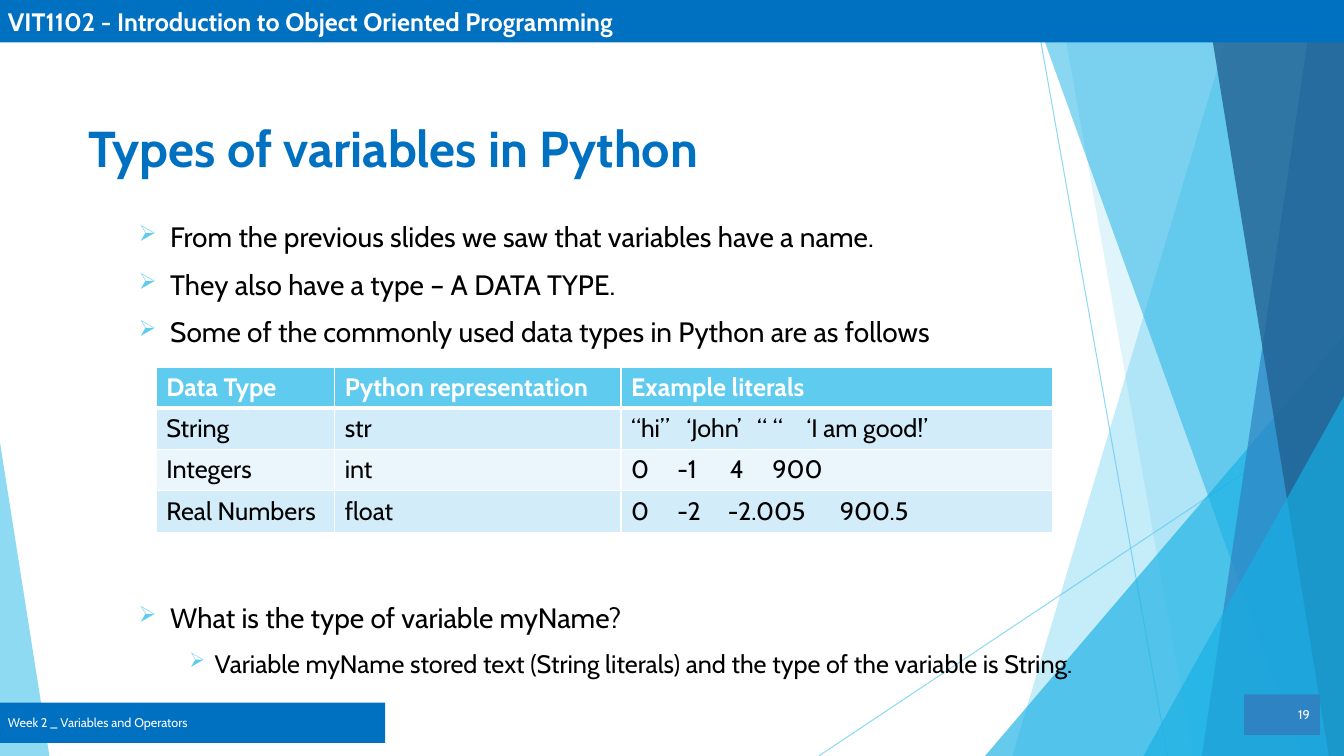
from lxml import etree
from pptx import Presentation
from pptx import util as u
from pptx.dml import color
from pptx.enum import shapes, text
from pptx.oxml import ns

PX = 9144
FONT = "Cabin"
WHITE, BLACK, BLUE, SKY = "FFFFFF", "000000", "0070C0", "5FCBEF"
CYAN, STEEL, NAVY = "17B0E4", "2E83C3", "226292"
LEFT, RIGHT = text.PP_ALIGN.LEFT, text.PP_ALIGN.RIGHT
TOP, MID = text.MSO_ANCHOR.TOP, text.MSO_ANCHOR.MIDDLE


def px(n):
    """Turn px into EMU."""
    return u.Emu(n * PX)


def add(node, tag, **attrs):
    """Append a drawing element and return it."""
    return etree.SubElement(node, ns.qn("a:" + tag), {k: str(v) for k, v in attrs.items()})


def tint(fill, hue, alpha=100):
    """Make a fill solid in a hex colour with a given opacity."""
    fill.solid()
    fill.fore_color.rgb = color.RGBColor.from_string(hue)
    if alpha < 100:
        add(fill.fore_color._xFill[0], "alpha", val=alpha * 1000)


def put(para, words, size=18, hue=BLACK, bold=False, align=LEFT, before=0, bullet=None, tabs=()):
    """Write formatted words into a paragraph."""
    props = para._p.get_or_add_pPr()
    if bullet:
        margin, hang = bullet
        props.set("marL", str(px(margin)))
        props.set("indent", str(px(-hang)))
        add(add(props, "buClr"), "srgbClr", val=SKY)
        add(props, "buSzPct", val=80000)
        add(props, "buChar", char="➢")
    if tabs:
        stops = add(props, "tabLst")
        for stop in tabs:
            add(stops, "tab", pos=px(stop), algn="l")
    para.alignment = align
    para.space_before = u.Pt(before)
    run = para.add_run()
    run.text = words
    run.font.name, run.font.size, run.font.bold = FONT, u.Pt(size), bold
    tint(run.font.fill, hue)


class Page:
    """Holds the current slide and draws each kind of element on it."""

    def __init__(self, deck):
        """Add a title-only slide to the deck."""
        self.slide = deck.slides.add_slide(deck.slide_layouts[5])
        self.shapes = self.slide.shapes

    def paint(self, shape, hue, alpha):
        """Give a shape a plain fill without line or shadow."""
        shape.shadow.inherit = False
        shape.line.fill.background()
        tint(shape.fill, hue, alpha)
        return shape

    def title(self, box, words, **form):
        """Place and write the title."""
        shape = self.shapes.title
        shape.left, shape.top, shape.width, shape.height = map(px, box)
        frame = shape.text_frame
        frame.word_wrap, frame.vertical_anchor = True, TOP
        put(frame.paragraphs[0], words, **form)

    def line(self, start, end):
        """Draw a thin see-through line."""
        line = self.shapes.add_connector(shapes.MSO_CONNECTOR.STRAIGHT, *map(px, start + end))
        line.line.width = u.Pt(0.75)
        tint(line.line.fill, SKY, 70)
        add(line._element.spPr, "effectLst")

    def shard(self, points, hue, alpha):
        """Draw a closed outline."""
        pen = self.shapes.build_freeform(*points[0], scale=PX)
        pen.add_line_segments(points[1:], close=True)
        self.paint(pen.convert_to_shape(), hue, alpha)

    def wedge(self, box, tip, hue, alpha):
        """Draw a triangle with its tip at a share of its width."""
        shape = self.shapes.add_shape(shapes.MSO_SHAPE.ISOSCELES_TRIANGLE, *map(px, box))
        shape.adjustments[0] = tip
        self.paint(shape, hue, alpha)

    def bar(self, box, hue, words, **form):
        """Draw a filled box with a line of white text."""
        shape = self.shapes.add_shape(shapes.MSO_SHAPE.RECTANGLE, *map(px, box))
        frame = self.paint(shape, hue, 100).text_frame
        frame.word_wrap, frame.vertical_anchor = True, MID
        put(frame.paragraphs[0], words, hue=WHITE, **form)

    def list(self, box, items):
        """Write a list of words and their formats."""
        frame = self.shapes.add_textbox(*map(px, box)).text_frame
        frame.word_wrap = True
        for i, (words, form) in enumerate(items):
            put(frame.paragraphs[0] if i == 0 else frame.add_paragraph(), words, **form)

    def edge(self, cell, base):
        """Rule a cell in white."""
        props = cell._tc.get_or_add_tcPr()
        for side in "LRTB":
            width = u.Pt(base if side == "B" else 1)
            line = add(props, "ln" + side, w=width)
            add(add(line, "solidFill"), "srgbClr", val=WHITE)

    def table(self, spot, widths, high, rows, tabs):
        """Draw a banded table with tab stops in its last column."""
        size = sum(widths), high * len(rows)
        grid = self.shapes.add_table(len(rows), len(widths), *map(px, spot + size)).table
        for col, width in zip(grid.columns, widths):
            col.width = px(width)
        for r, row in enumerate(rows):
            grid.rows[r].height = px(high)
            head = r == 0
            band = SKY if head else ("EAF6FC", "D2ECF9")[r % 2]
            for c, words in enumerate(row):
                cell = grid.cell(r, c)
                self.edge(cell, 3 if head else 1)
                tint(cell.fill, band)
                stops = tabs[r] if c == len(widths) - 1 else ()
                put(cell.text_frame.paragraphs[0], words, hue=WHITE if head else BLACK,
                    bold=head, tabs=stops)


def main():
    """Build the slide and save it."""
    deck = Presentation()
    deck.slide_width, deck.slide_height = px(1333), px(750)
    page = Page(deck)

    def pane(top, foot, hue, alpha):
        """Draw a full-height shard from its left edge to the slide's right."""
        page.shard([(top, -1), (1333, -1), (1333, 750), (foot, 750)], hue, alpha)

    page.line((1025, 0), (1158, 750))
    page.line((1333, 403), (812, 750))
    pane(1228, 1004, SKY, 36)
    pane(1050, 1183, SKY, 20)
    page.wedge((977, 333, 356, 417), 1, CYAN, 66)
    pane(1021, 1291, CYAN, 50)
    pane(1303, 1192, STEEL, 70)
    pane(1196, 1318, NAVY, 80)
    page.wedge((1134, 393, 199, 357), 1, CYAN, 66)
    page.wedge((0, 439, 49, 311), 0, SKY, 70)

    page.bar((-2, 0, 1335, 42), BLUE, "VIT1102 - Introduction to Object Oriented Programming",
             size=18, bold=True)
    page.title((78, 111, 773, 71), "Types of variables in Python", size=36, hue=BLUE, bold=True)

    point = dict(size=20, bullet=(81, 31))
    page.list((78, 213, 1063, 464), [
        ("From the previous slides we saw that variables have a name.", point),
        ("They also have a type – A DATA TYPE.", dict(point, before=10)),
        ("Some of the commonly used data types in Python are as follows", dict(point, before=10)),
        ("What is the type of variable myName?", dict(point, before=180)),
        ("Variable myName stored text (String literals) and the type of the variable is String.",
         dict(size=18, bullet=(125, 25), before=10)),
    ])
    page.bar((-2, 697, 384, 40), BLUE, "Week 2 _ Variables and Operators", size=9)
    page.table((155, 364), (177, 284, 428), 41, [
        ("Data Type", "Python representation", "Example literals"),
        ("String", "str", "“hi”\t‘John’\t“ “\t‘I am good!’"),
        ("Integers", "int", "0\t-1\t4\t900"),
        ("Real Numbers", "float", "0\t-2\t-2.005\t900.5"),
    ], [(), (55, 125, 174), (46, 98, 140), (46, 96, 207)])
    page.bar((1234, 689, 75, 40), STEEL, "19", size=9, align=RIGHT)
    deck.save("out.pptx")


if __name__ == "__main__":
    main()
